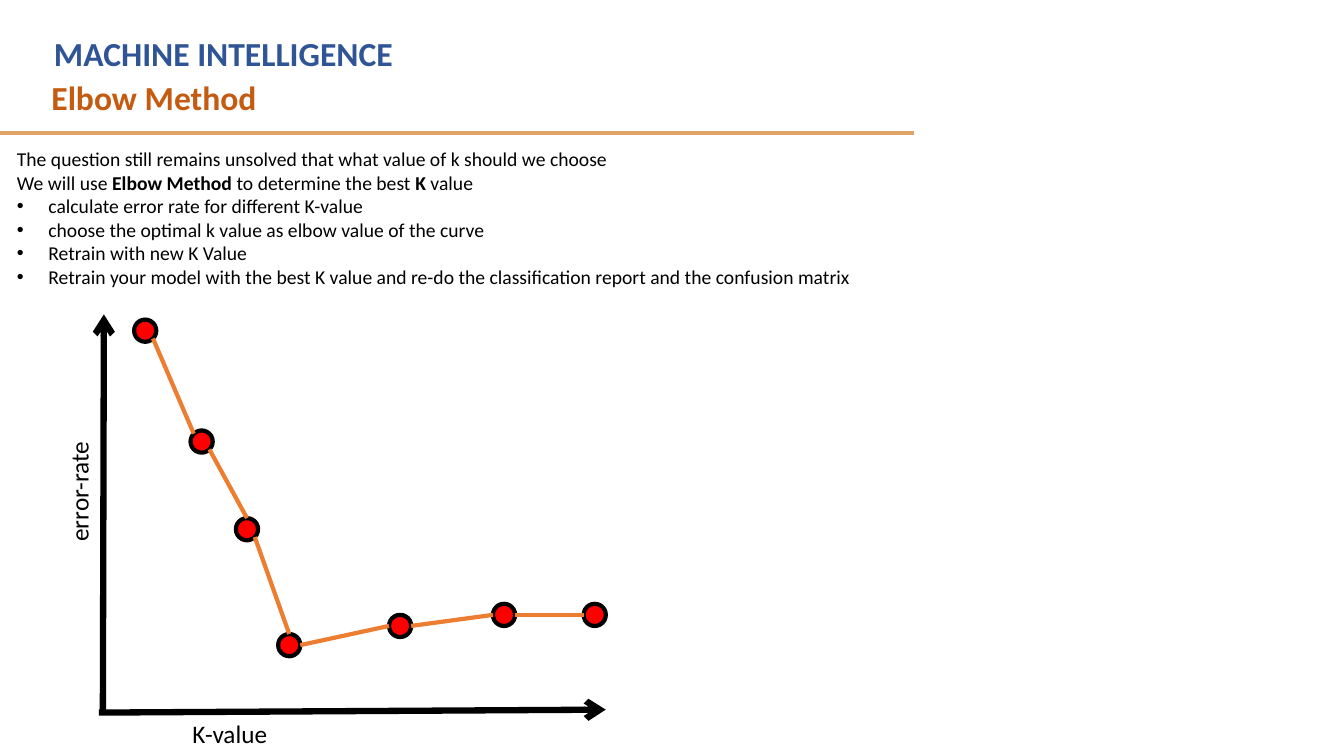
from dataclasses import dataclass
from math import cos, radians, sin
from itertools import pairwise
from lxml.etree import SubElement
from pptx import Presentation
from pptx.dml.color import RGBColor
from pptx.enum.shapes import MSO_CONNECTOR, MSO_SHAPE
from pptx.enum.text import MSO_ANCHOR, MSO_AUTO_SIZE, PP_ALIGN
from pptx.oxml.ns import qn
from pptx.util import Pt


@dataclass(frozen=True)
class Theme:
    font: str = "Calibri"
    black: str = "000000"
    blue: str = "2F5597"
    rust: str = "C55A11"
    gold: str = "DFA267"
    orange: str = "ED7D31"
    red: str = "FF0000"
    head: int = 24
    label: int = 18
    body: int = 14
    thin: float = 3
    thick: float = 4.5


THEME = Theme()
BODY = [
    (False, ["The question still remains unsolved that what value of k should we choose"]),
    (False, ["We will use ", "Elbow Method ", "to determine the best ", "K", " value"]),
    (True, ["calculate error rate for different K-value"]),
    (True, ["choose the optimal k value as elbow value of the curve"]),
    (True, ["Retrain with new K Value"]),
    (True, ["Retrain your model with the best K value and re-do the classification "
            "report and the confusion matrix"]),
]
DOTS = [(31.7, 12.2), (72, 91.4), (104.4, 154), (134.6, 236.8),
        (213.8, 223.1), (288, 215.2), (352.8, 215.2)]
SIZE = 15.84
RIGHT, LEFT, TOP, LOWER, UPPER = 0, 180, 270, 45, 225
JOINS = [(LOWER, UPPER), (LOWER, TOP), (LOWER, TOP)] + [(RIGHT, LEFT)] * 3


def style(font, size, color, bold=False):
    font.name, font.size, font.bold = THEME.font, Pt(size), bold
    font.color.rgb = RGBColor.from_string(color)


def add_line(slide, start, end, color, width, arrow=False):
    line = slide.shapes.add_connector(
        MSO_CONNECTOR.STRAIGHT, *(Pt(v) for v in (*start, *end)))
    line.line.color.rgb = RGBColor.from_string(color)
    line.line.width = Pt(width)
    props = line._element.spPr
    if arrow:
        SubElement(props.find(qn("a:ln")), qn("a:tailEnd"), type="arrow")
    SubElement(props, qn("a:effectLst"))


def add_box(slide, box, wrap=True):
    shape = slide.shapes.add_textbox(*(Pt(v) for v in box))
    shape.text_frame.word_wrap = wrap
    return shape


def add_label(slide, box, text, size, color, bold=False, wrap=True):
    shape = add_box(slide, box, wrap)
    shape.text_frame.text = text
    style(shape.text_frame.paragraphs[0].runs[0].font, size, color, bold)
    return shape


def add_header(slide, x, y, width):
    add_line(slide, (x, y + 75), (x + width, y + 75), THEME.gold, THEME.thin)
    add_label(slide, (x + 31.5, y, 590, 36), "MACHINE INTELLIGENCE",
              THEME.head, THEME.blue, True)
    title = slide.shapes.title
    title.left, title.top, title.width, title.height = (
        Pt(v) for v in (x + 29.5, y + 31, 630, 36))
    frame = title.text_frame
    frame.text = "Elbow Method"
    frame.auto_size, frame.vertical_anchor = MSO_AUTO_SIZE.NONE, MSO_ANCHOR.TOP
    para = frame.paragraphs[0]
    para.alignment, para.line_spacing = PP_ALIGN.LEFT, 1
    style(para.runs[0].font, THEME.head, THEME.rust, True)


def add_body(slide, box):
    frame = add_box(slide, box).text_frame
    for index, (bullet, parts) in enumerate(BODY):
        para = frame.add_paragraph() if index else frame.paragraphs[0]
        if bullet:
            props = para._p.get_or_add_pPr()
            props.set("marL", str(Pt(22.5)))
            props.set("indent", str(-Pt(22.5)))
            SubElement(props, qn("a:buFont"), typeface="Arial")
            SubElement(props, qn("a:buChar"), char="•")
        for turn, text in enumerate(parts):
            run = para.add_run()
            run.text = text
            style(run.font, THEME.body, THEME.black, turn % 2 == 1)


def rim(dot, angle):
    turn = radians(angle)
    return dot[0] + SIZE / 2 * cos(turn), dot[1] + SIZE / 2 * sin(turn)


def add_plot(slide, x, y):
    add_line(slide, (x + 1.5, y + 283), (x + 2.2, y + 0.6), THEME.black, THEME.thick, True)
    add_line(slide, (x - 1.4, y + 285), (x + 360.7, y + 282.9), THEME.black, THEME.thick, True)
    add_label(slide, (x + 58.3, y + 285.8, 68.4, 29), "K-value",
              THEME.label, THEME.black, wrap=False)
    side = add_label(slide, (x - 59, y + 112.2, 86.4, 29), "error-rate",
                     THEME.label, THEME.black, wrap=False)
    side.rotation = 270
    dots = [(x + across, y + down) for across, down in DOTS]
    for across, down in dots:
        dot = slide.shapes.add_shape(
            MSO_SHAPE.OVAL, Pt(across - SIZE / 2), Pt(down - SIZE / 2), Pt(SIZE), Pt(SIZE))
        dot.shadow.inherit = False
        dot.fill.solid()
        dot.fill.fore_color.rgb = RGBColor.from_string(THEME.red)
        dot.line.color.rgb = RGBColor.from_string(THEME.black)
        dot.line.width = Pt(THEME.thin)
    for (start, end), (leave, reach) in zip(pairwise(dots), JOINS):
        add_line(slide, rim(start, leave), rim(end, reach), THEME.orange, THEME.thin)


def main():
    deck = Presentation()
    deck.slide_width, deck.slide_height = Pt(960), Pt(540)
    slide = deck.slides.add_slide(deck.slide_layouts[5])
    add_header(slide, 0, 20, 653)
    add_body(slide, (5, 101.5, 630, 109))
    add_plot(slide, 72, 224)
    deck.save("out.pptx")


if __name__ == "__main__":
    main()
